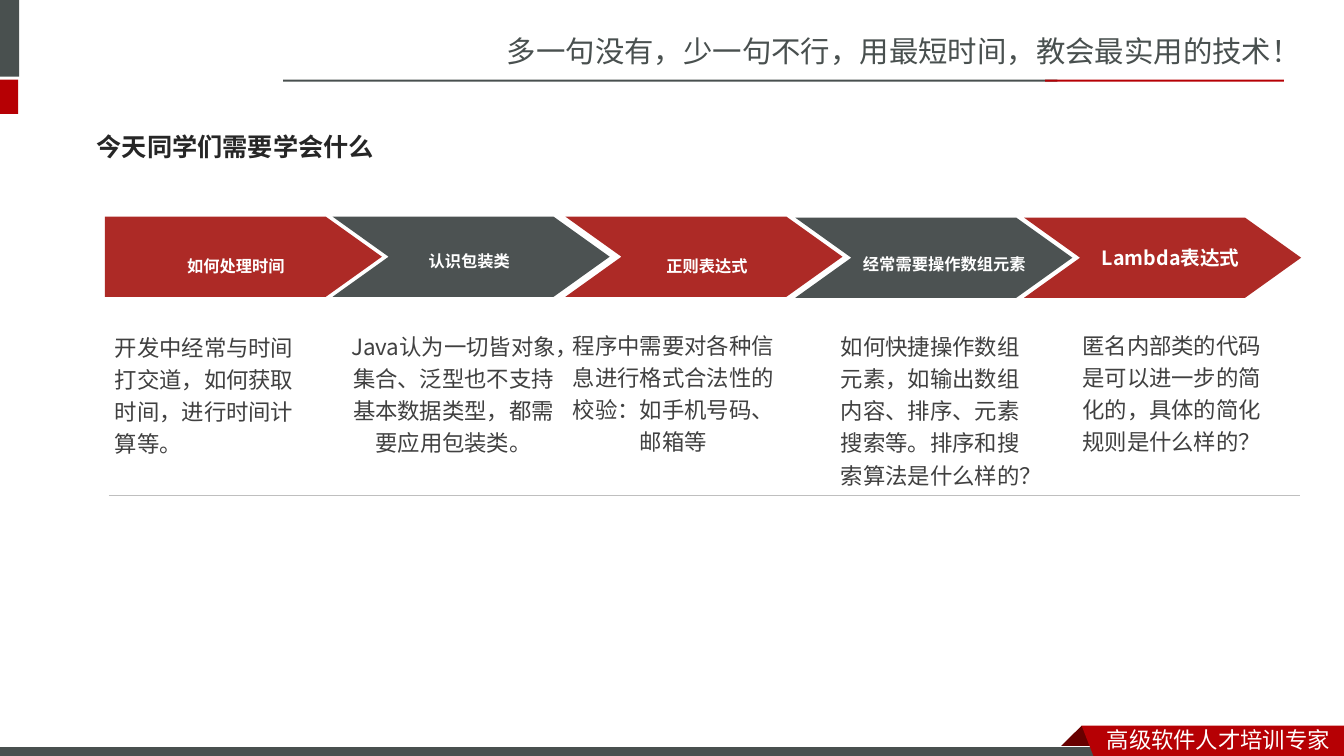
import pptx
import pptx.util
import pptx.dml.color
import pptx.enum.shapes
import pptx.enum.text
import pptx.oxml
import pptx.oxml.ns

Pt = pptx.util.Pt
RGBColor = pptx.dml.color.RGBColor
Align = pptx.enum.text.PP_ALIGN
Anchor = pptx.enum.text.MSO_ANCHOR
AutoSize = pptx.enum.text.MSO_AUTO_SIZE
Preset = pptx.enum.shapes.MSO_SHAPE
qn = pptx.oxml.ns.qn

SLATE = RGBColor(0x49, 0x50, 0x4F)
CRIMSON = RGBColor(0xB6, 0x00, 0x04)
MAROON = RGBColor(0x68, 0x00, 0x00)
STEP_RED = RGBColor(0xAD, 0x2A, 0x26)
STEP_GREY = RGBColor(0x4C, 0x52, 0x52)
WHITE = RGBColor(0xFF, 0xFF, 0xFF)
HEADING_INK = RGBColor(0x26, 0x26, 0x26)
BODY_INK = RGBColor(0x40, 0x40, 0x40)
RULE_GREY = RGBColor(0xBF, 0xBF, 0xBF)

HEADING = "今天同学们需要学会什么"
SLOGAN = "多一句没有，少一句不行，用最短时间，教会最实用的技术！"
TAGLINE = "高级软件人才培训专家"

LOWERED = dict(size=20, baseline=-3000)
STEPS = [
    dict(label="如何处理时间", arrow=(74.9, 154.8),
         label_box=(74.2, 170.6, 188.6, 25.9), label_format=dict(LOWERED, spacing=1.2),
         detail="开发中经常与时间打交道，如何获取时间，进行时间计算等。",
         detail_box=(74.9, 231.1, 152.6, 99.4), align=Align.LEFT),
    dict(label="认识包装类", arrow=(237.6, 154.8),
         label_box=(251.3, 170.6, 167.8, 23.8), label_format=LOWERED,
         detail="Java认为一切皆对象，集合、泛型也不支持基本数据类型，都需要应用包装类。",
         detail_box=(241.2, 230.4, 165.6, 99.4), align=Align.CENTER),
    dict(label="正则表达式", arrow=(403.9, 154.8),
         label_box=(380.2, 170.6, 249.8, 25.9), label_format=dict(LOWERED, spacing=1.2),
         detail="程序中需要对各种信息进行格式合法性的校验：如手机号码、邮箱等",
         detail_box=(398.2, 229.7, 165.6, 99.4), align=Align.CENTER),
    dict(label="经常需要操作数组元素", arrow=(568.1, 155.5),
         label_box=(598.3, 172.8, 152.6, 23.8), label_format=LOWERED,
         detail="如何快捷操作数组元素，如输出数组内容、排序、元素搜索等。排序和搜索算法是什么样的？",
         detail_box=(590.4, 230.4, 148.3, 122.4), align=Align.CENTER),
    dict(label="Lambda表达式", arrow=(731.5, 155.5),
         label_box=(752.4, 169.2, 167.8, 26.6), label_format=dict(size=14, spacing=1.2),
         detail="匿名内部类的代码是可以进一步的简化的，具体的简化规则是什么样的？",
         detail_box=(766.1, 229.7, 154.1, 99.4), align=Align.LEFT),
]
ARROW_BODY, ARROW_TIP, ARROW_HEIGHT = 157.9, 40, 57.2

HEADER_BARS = [
    ((-4.3, 0, 18, 54.7), SLATE),
    ((-4.3, 56.9, 17.3, 24.5), CRIMSON),
    ((202.3, 56.9, 553, 1.4), SLATE),
    ((746.6, 56.9, 170.6, 1.4), CRIMSON),
]
FOOTER_BAR = (-0.7, 533.5, 792, 8.6)
RIBBON_FOLD = [(772.6, 518.4), (788.4, 534.2), (787.7, 535), (757.4, 535), (756.7, 534.2)]
RIBBON = [(772.6, 518.4), (960, 518.4), (960, 542.9), (781.9, 542.2)]

deck = pptx.Presentation()
deck.slide_width, deck.slide_height = Pt(960), Pt(540)
slide = deck.slides.add_slide(deck.slide_layouts[5])


def place(shape, box):
    shape.left, shape.top, shape.width, shape.height = map(Pt, box)


def paint(shape, color, outline=None):
    shape.shadow.inherit = False
    shape.fill.solid()
    shape.fill.fore_color.rgb = color
    if outline is None:
        shape.line.fill.background()
    else:
        shape.line.color.rgb = outline
        shape.line.width = Pt(0.75)


def add_bar(box, color, outline=None):
    bar = slide.shapes.add_shape(Preset.RECTANGLE, *map(Pt, box))
    paint(bar, color, outline)


def add_outline(points, color):
    corners = [(Pt(x), Pt(y)) for x, y in points]
    builder = slide.shapes.build_freeform(*corners[0], scale=1.0)
    builder.add_line_segments(corners[1:], close=True)
    paint(builder.convert_to_shape(), color)


def write(text, box, *, size, color, font="Noto Sans CJK JP", bold=False, align=Align.LEFT,
          anchor=Anchor.TOP, spacing=None, baseline=None, holder=None, grow=True):
    holder = holder or slide.shapes.add_textbox(0, 0, 0, 0)
    place(holder, box)
    frame = holder.text_frame
    frame.word_wrap = True
    frame.vertical_anchor = anchor
    frame.auto_size = AutoSize.SHAPE_TO_FIT_TEXT if grow else AutoSize.NONE
    paragraph = frame.paragraphs[0]
    paragraph.alignment = align
    if spacing:
        paragraph.line_spacing = spacing
    run = paragraph.add_run()
    run.text = text
    run.font.size = Pt(size)
    run.font.bold = bold
    run.font.color.rgb = color
    run.font.name = font
    for properties in holder.element.iter(qn("a:rPr")):
        east_asian = pptx.oxml.parse_xml(
            '<a:ea xmlns:a="http://schemas.openxmlformats.org/drawingml/2006/main"/>')
        east_asian.set("typeface", font)
        properties.find(qn("a:latin")).addnext(east_asian)
        if baseline:
            properties.set("baseline", str(baseline))


write(SLOGAN, (355, 20.2, 605.5, 33.8), size=21, color=SLATE, font="Noto Sans CJK SC")
for bar_box, bar_color in HEADER_BARS:
    add_bar(bar_box, bar_color)
add_outline(RIBBON_FOLD, MAROON)
add_bar(FOOTER_BAR, SLATE, WHITE)
add_outline(RIBBON, CRIMSON)
write(TAGLINE, (783.4, 514.8, 176.4, 26.6), size=16, color=WHITE, font="Noto Sans CJK SC")

for index, step in enumerate(STEPS):
    left, top = step["arrow"]
    shoulder, middle, bottom = left + ARROW_BODY, top + ARROW_HEIGHT / 2, top + ARROW_HEIGHT
    arrow = [(left, top), (shoulder, top), (shoulder + ARROW_TIP, middle),
             (shoulder, bottom), (left, bottom)]
    if index:
        arrow.append((left + ARROW_TIP, middle))
    add_outline(arrow, STEP_GREY if index % 2 else STEP_RED)
    write(step["label"], step["label_box"], color=WHITE, bold=True, align=Align.CENTER,
          anchor=Anchor.MIDDLE, **step["label_format"])
    write(step["detail"], step["detail_box"], size=16, color=BODY_INK,
          align=step["align"], spacing=1.2)

rule = slide.shapes.add_connector(
    pptx.enum.shapes.MSO_CONNECTOR.STRAIGHT, Pt(77.8), Pt(353.5), Pt(928.8), Pt(353.5))
rule.line.color.rgb = RULE_GREY
rule.line.width = Pt(0.25)
rule.element.spPr.append(pptx.oxml.parse_xml(
    '<a:effectLst xmlns:a="http://schemas.openxmlformats.org/drawingml/2006/main"/>'))

write(HEADING, (61.9, 84.2, 293.8, 41), size=18, color=HEADING_INK, font="Noto Sans Mono",
      bold=True, anchor=Anchor.MIDDLE, holder=slide.shapes.title, grow=False)

deck.save("out.pptx")
